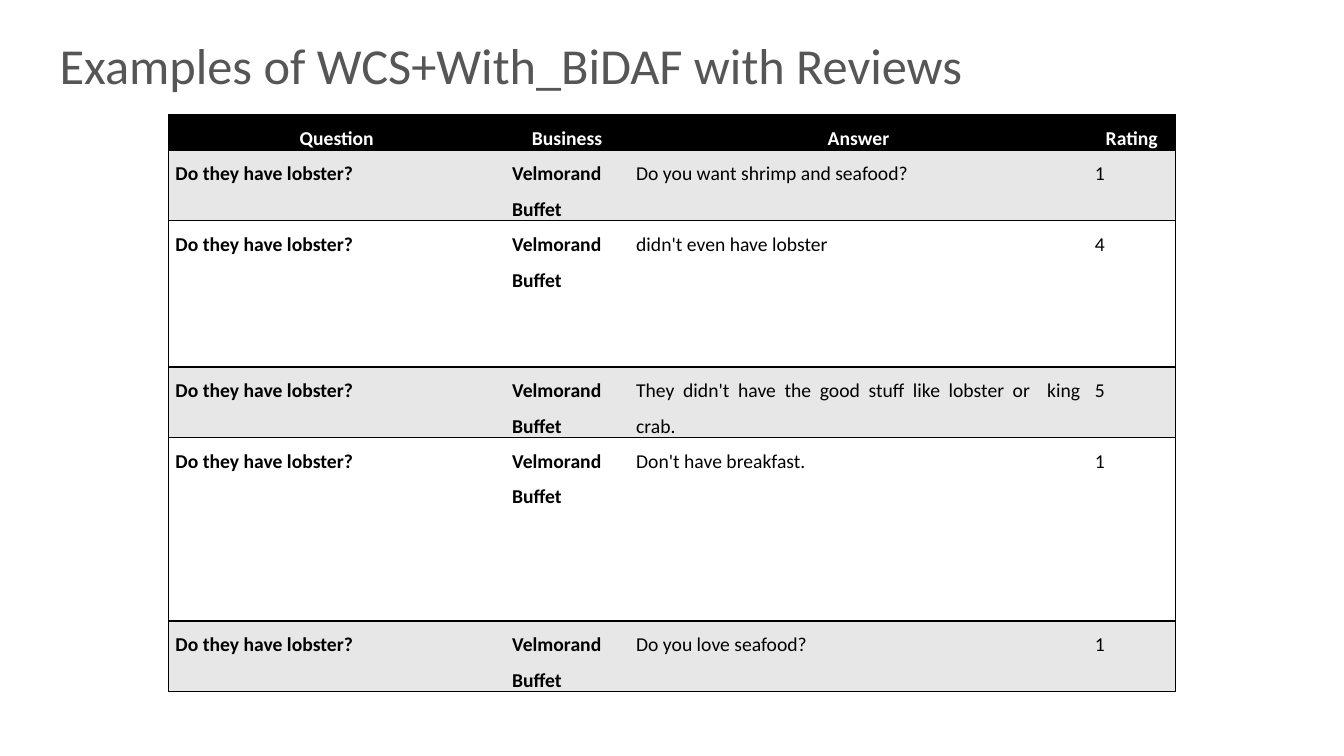
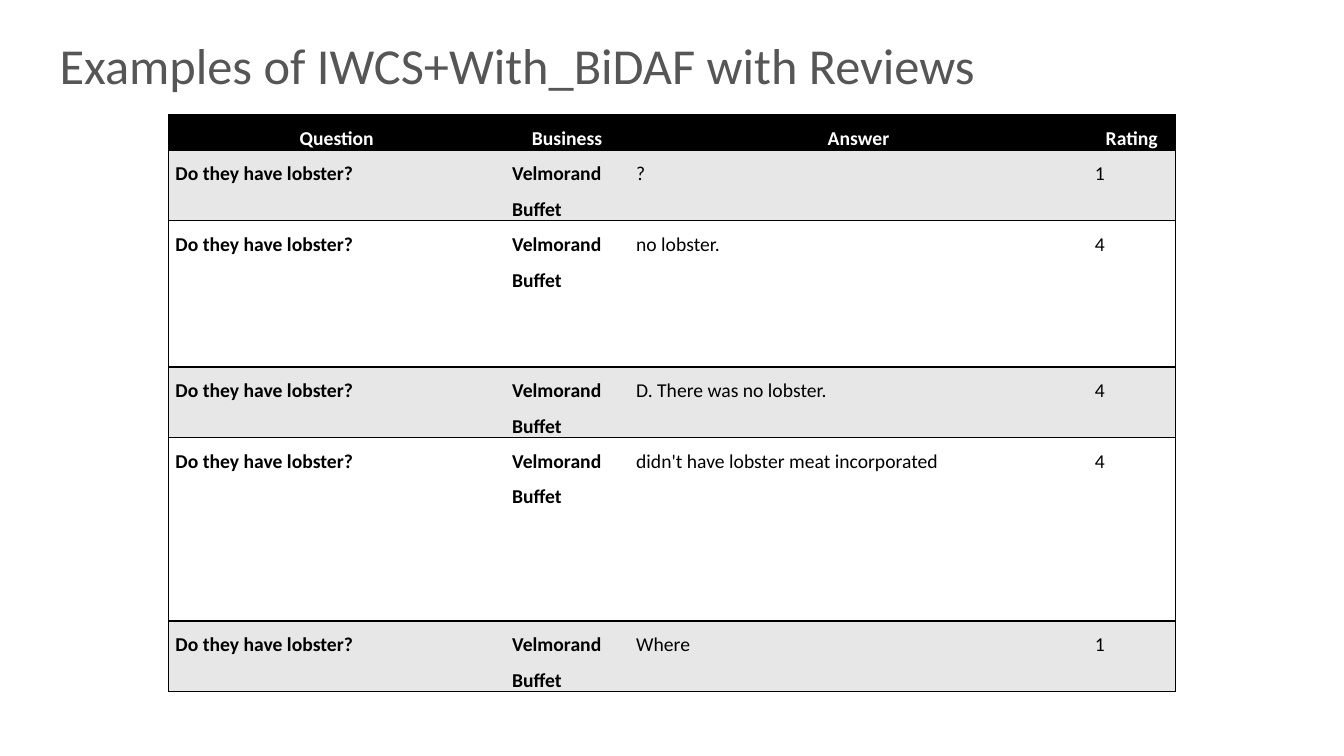
from dataclasses import dataclass

from lxml import etree
from pptx import Presentation
from pptx.dml.color import RGBColor
from pptx.enum.text import MSO_ANCHOR, MSO_AUTO_SIZE, PP_ALIGN
from pptx.oxml.ns import qn
from pptx.slide import Slide
from pptx.table import _Cell
from pptx.text.text import _Paragraph
from pptx.util import Inches, Pt

LEFT, CENTER, JUSTIFY = PP_ALIGN.LEFT, PP_ALIGN.CENTER, PP_ALIGN.JUSTIFY
MIDDLE, TOP = MSO_ANCHOR.MIDDLE, MSO_ANCHOR.TOP
GROW_SHAPE = MSO_AUTO_SIZE.SHAPE_TO_FIT_TEXT
TITLE_ONLY_LAYOUT = 5

# Shared style
COLORS = {
    "title": "565656",
    "header": "000000",
    "header_text": "FFFFFF",
    "text": "000000",
    "border": "000000",
    "band": "E7E7E7",
    "plain": "FFFFFF",
}
FONT = "Calibri"
TITLE_BOX = {"left": 0.49, "top": 0.28, "width": 11.11, "height": 0.71}
TABLE_LEFT, TABLE_TOP = 1.67, 1.14
COLUMN_WIDTHS = (3.34, 1.23, 4.55, 0.87)
ROW_HEIGHTS = (0.33, 0.7, 1.45, 0.7, 1.82, 0.7)
CELL_FORMAT = {
    "margin_left": Inches(0.07),
    "margin_right": Inches(0.07),
    "margin_top": 0,
    "margin_bottom": 0,
    "vertical_anchor": TOP,
}

# Shared wording
HEADINGS = ("Question", "Business", "Answer", "Rating")
QUESTION = "Do they have lobster?"
BUSINESS = "Velmorand Buffet"
ANSWER_COLUMN = HEADINGS.index("Answer")
LAST_COLUMN = len(HEADINGS) - 1


@dataclass(frozen=True)
class Review:
    answer: str
    rating: int


@dataclass(frozen=True)
class ExampleSlide:
    method: str
    reviews: tuple[Review, ...]


EXAMPLES = (
    ExampleSlide("WCS+With_BiDAF", (
        Review("Do you want shrimp and seafood?", 1),
        Review("didn't even have lobster", 4),
        Review("They didn't have the good stuff like lobster or  king crab.", 5),
        Review("Don't have breakfast.", 1),
        Review("Do you love seafood?", 1),
    )),
    ExampleSlide("IWCS+With_BiDAF", (
        Review("?", 1),
        Review("no lobster.", 4),
        Review("D. There was no lobster.", 4),
        Review("didn't have lobster meat incorporated", 4),
        Review("Where", 1),
    )),
)


def apply_format(target: object, values: dict) -> None:
    for name, value in values.items():
        setattr(target, name, value)


def format_text(paragraph: _Paragraph, size: int, color: str, bold: bool) -> None:
    for run in paragraph.runs:
        apply_format(run.font, {"name": FONT, "size": Pt(size), "bold": bold})
        run.font.color.rgb = RGBColor.from_string(COLORS[color])


def set_borders(cell: _Cell, column: int) -> None:
    """Rule every row, and close only the outer sides of the table."""
    visible = {"a:lnL": column == 0, "a:lnR": column == LAST_COLUMN,
               "a:lnT": True, "a:lnB": True}
    properties = cell._tc.get_or_add_tcPr()
    for tag, shown in visible.items():
        line = etree.SubElement(properties, qn(tag), w=str(Pt(1)))
        if shown:
            fill = etree.SubElement(line, qn("a:solidFill"))
            etree.SubElement(fill, qn("a:srgbClr"), val=COLORS["border"])
        else:
            etree.SubElement(line, qn("a:noFill"))


def fill_cell(cell: _Cell, text: str, row: int, column: int) -> None:
    is_header = row == 0
    cell.text = text
    apply_format(cell, CELL_FORMAT)
    set_borders(cell, column)
    fill_name = "header" if is_header else "band" if row % 2 else "plain"
    cell.fill.solid()
    cell.fill.fore_color.rgb = RGBColor.from_string(COLORS[fill_name])

    paragraph = cell.text_frame.paragraphs[0]
    is_answer = not is_header and column == ANSWER_COLUMN
    apply_format(paragraph, {
        "alignment": CENTER if is_header else JUSTIFY,
        "line_spacing": 1.5,
        "space_after": Pt(0 if is_answer else 3),
    })
    format_text(paragraph, 14, "header_text" if is_header else "text",
                is_header or column < ANSWER_COLUMN)


def add_title(slide: Slide, text: str) -> None:
    title = slide.shapes.title
    apply_format(title, {name: Inches(value) for name, value in TITLE_BOX.items()})
    frame = title.text_frame
    frame.text = text
    apply_format(frame, {"word_wrap": True, "auto_size": GROW_SHAPE,
                         "vertical_anchor": MIDDLE})
    frame.paragraphs[0].alignment = LEFT
    format_text(frame.paragraphs[0], 36, "title", False)


def add_review_table(slide: Slide, reviews: tuple[Review, ...]) -> None:
    rows = [HEADINGS] + [(QUESTION, BUSINESS, review.answer, str(review.rating))
                         for review in reviews]
    table = slide.shapes.add_table(
        len(rows), len(HEADINGS), Inches(TABLE_LEFT), Inches(TABLE_TOP),
        Inches(sum(COLUMN_WIDTHS)), Inches(sum(ROW_HEIGHTS))).table
    apply_format(table, {"first_row": False, "horz_banding": False})
    for column, width in zip(table.columns, COLUMN_WIDTHS):
        column.width = Inches(width)
    for row, height in zip(table.rows, ROW_HEIGHTS):
        row.height = Inches(height)
    for row_index, texts in enumerate(rows):
        for column_index, text in enumerate(texts):
            fill_cell(table.cell(row_index, column_index), text,
                      row_index, column_index)


def main() -> None:
    presentation = Presentation()
    apply_format(presentation, {"slide_width": Inches(13.33),
                                "slide_height": Inches(7.5)})
    layout = presentation.slide_layouts[TITLE_ONLY_LAYOUT]
    for example in EXAMPLES:
        slide = presentation.slides.add_slide(layout)
        add_title(slide, f"Examples of {example.method} with Reviews")
        add_review_table(slide, example.reviews)
    presentation.save("out.pptx")


if __name__ == "__main__":
    main()
